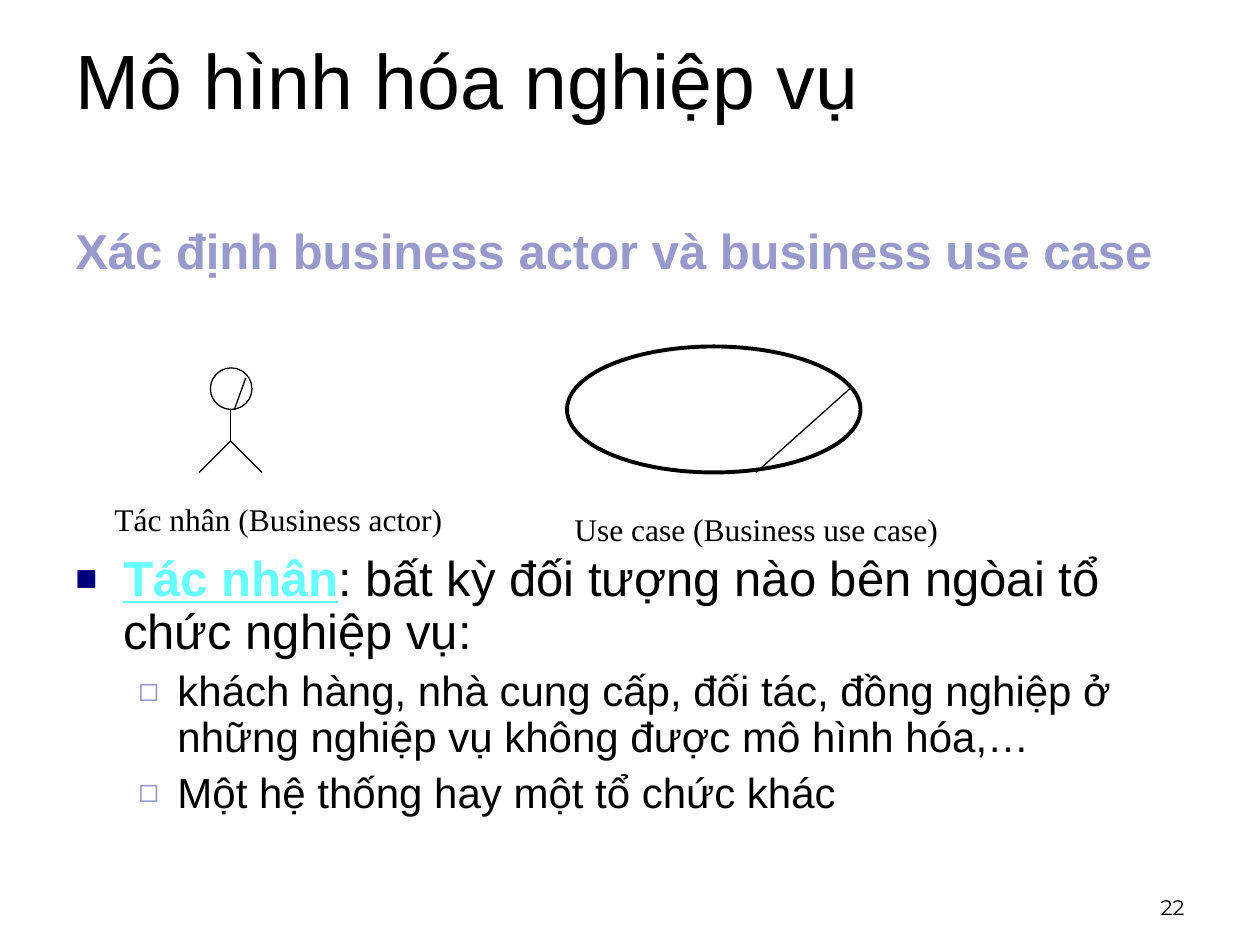
import pptx
import pptx.util
import pptx.dml.color
import pptx.enum.shapes
import pptx.enum.text
import pptx.oxml.ns
from lxml import etree

Inches, Pt = pptx.util.Inches, pptx.util.Pt
RGB = pptx.dml.color.RGBColor
ANCHOR = pptx.enum.text.MSO_ANCHOR
ALIGN = pptx.enum.text.PP_ALIGN
SHAPE = pptx.enum.shapes.MSO_SHAPE
LINE = pptx.enum.shapes.MSO_CONNECTOR
qn = pptx.oxml.ns.qn

BLACK = RGB(0, 0, 0)
LILAC = RGB(0x99, 0x99, 0xCC)
NAVY = RGB(0, 0, 0x7D)
CYAN = RGB(0x66, 0xFF, 0xFF)

# Content: each run is (text, colour, bold, underline)
TITLE = "Mô hình hóa nghiệp vụ"
HEAD = "Xác định business actor và business use case"
POINTS = [
    (0, [("Tác nhân", CYAN, True, True),
         (": bất kỳ đối tượng nào bên ngòai tổ chức nghiệp vụ:", BLACK, False, False)]),
    (1, [("khách hàng, nhà cung cấp, đối tác, đồng nghiệp ở những nghiệp vụ "
          "không được mô hình hóa,…", BLACK, False, False)]),
    (1, [("Một hệ thống hay một tổ chức khác", BLACK, False, False)]),
]
# Per level: size, space before, left margin, hanging, mark, mark colour, mark size
LEVELS = [(28, 7, 0.38, 0.38, "■", NAVY, 75),
          (24, 6, 0.81, 0.31, "◻", LILAC, 80)]
LABELS = [("Tác nhân (Business actor)", (0.81, 3.92, 3.25, 0.4)),
          ("Use case (Business use case)", (4.46, 4, 3.52, 0.4))]
# Figures: ellipse box, ellipse line width, thin lines
ACTOR = ((1.67, 2.92, 0.33, 0.33), 0.75,
         [(1.95, 3, 1.86, 3.25), (1.83, 3.25, 1.83, 3.5),
          (1.83, 3.5, 1.58, 3.75), (1.83, 3.5, 2.08, 3.75)])
CASE = ((4.5, 2.75, 2.33, 1), 2.25, [(6.75, 3.08, 6, 3.75)])

deck = pptx.Presentation()
deck.slide_width, deck.slide_height = Inches(10), Inches(7.5)
slide = deck.slides.add_slide(deck.slide_layouts[6])


def add_box(area, anchor=ANCHOR.TOP, wrap=True):
    frame = slide.shapes.add_textbox(*map(Inches, area)).text_frame
    frame.word_wrap = wrap
    frame.vertical_anchor = anchor
    return frame


def add_run(para, text, size, face="Arial", color=BLACK, bold=False, under=False):
    run = para.add_run()
    run.text = text
    font = run.font
    font.name, font.size, font.color.rgb = face, Pt(size), color
    font.bold, font.underline = bold, under


def add_mark(para, left, hang, mark, color, scale):
    props = para._p.get_or_add_pPr()
    props.set("marL", str(Inches(left)))
    props.set("indent", str(-Inches(hang)))
    tint = etree.SubElement(props, qn("a:buClr"))
    etree.SubElement(tint, qn("a:srgbClr"), val=str(color))
    etree.SubElement(props, qn("a:buSzPct"), val=str(scale * 1000))
    etree.SubElement(props, qn("a:buFont"), typeface="Arial")
    etree.SubElement(props, qn("a:buChar"), char=mark)


def add_figure(area, weight, lines):
    group = slide.shapes.add_group_shape()
    oval = group.shapes.add_shape(SHAPE.OVAL, *map(Inches, area))
    oval.shadow.inherit = False
    oval.fill.background()
    oval.line.color.rgb = BLACK
    oval.line.width = Pt(weight)
    for ends in lines:
        line = group.shapes.add_connector(LINE.STRAIGHT, *map(Inches, ends))
        line.line.color.rgb = BLACK
        line.line.width = Pt(0.75)
        etree.SubElement(line._element.spPr, qn("a:effectLst"))


# Title and heading
add_run(add_box((0.5, 0, 9, 1.25), ANCHOR.MIDDLE).paragraphs[0], TITLE, 44)
para = add_box((0.5, 1.75, 8.92, 0.5)).paragraphs[0]
para.line_spacing = 0.9
add_run(para, HEAD, 28, color=LILAC, bold=True)

# Bulleted points
frame = add_box((0.5, 4.35, 8.92, 2.48))
for index, (level, runs) in enumerate(POINTS):
    para = frame.add_paragraph() if index else frame.paragraphs[0]
    size, before, *mark = LEVELS[level]
    add_mark(para, *mark)
    para.level = level
    para.line_spacing = 0.9
    para.space_before = Pt(before if index else 0)
    for text, color, bold, under in runs:
        add_run(para, text, size, color=color, bold=bold, under=under)

# Page number
para = add_box((7.17, 6.83, 2.33, 0.52), ANCHOR.BOTTOM).paragraphs[0]
para.alignment = ALIGN.RIGHT
add_run(para, "22", 12, "Montserrat")

# Figures and their labels
for text, area in LABELS:
    add_run(add_box(area, wrap=False).paragraphs[0], text, 18, "Times New Roman")
for figure in (ACTOR, CASE):
    add_figure(*figure)

deck.save("out.pptx")
